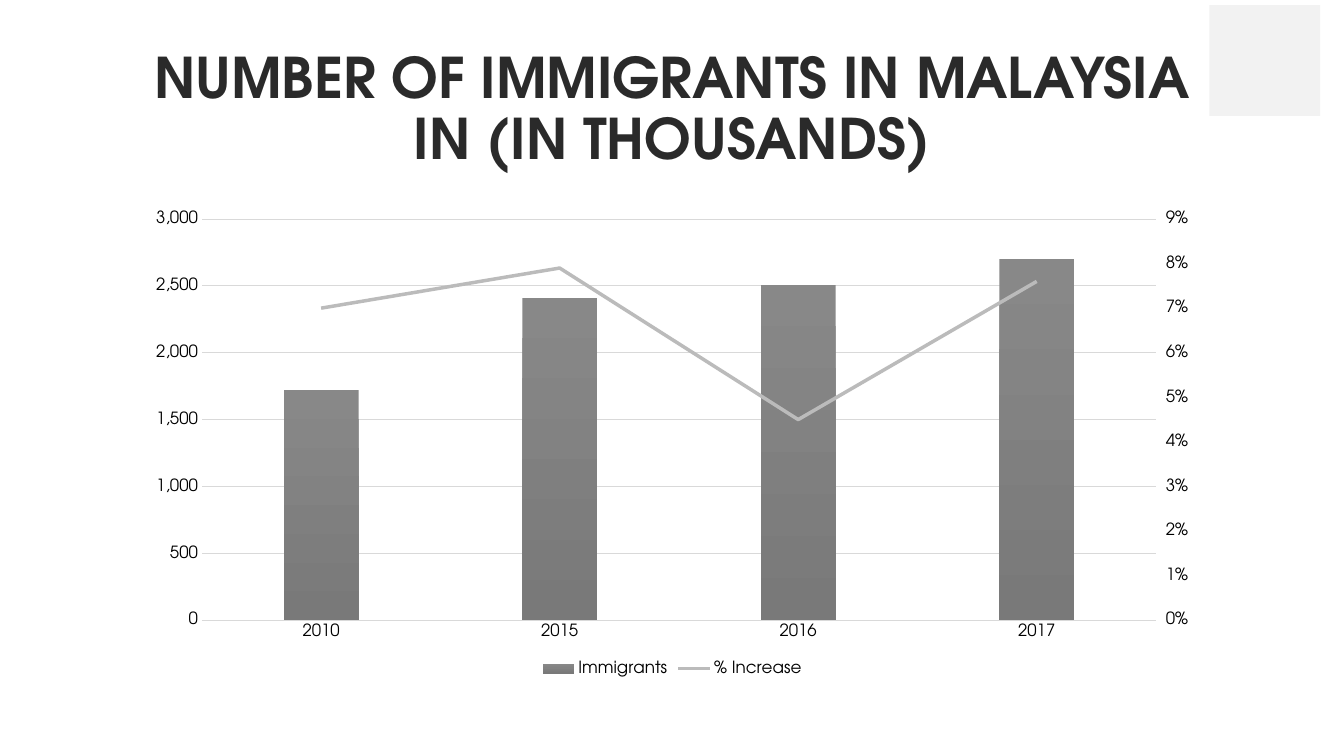
from copy import deepcopy

from pptx import Presentation
from pptx.chart.axis import ValueAxis
from pptx.chart.data import CategoryChartData
from pptx.dml.color import RGBColor
from pptx.enum.chart import XL_CHART_TYPE, XL_LEGEND_POSITION, XL_MARKER_STYLE, XL_TICK_MARK
from pptx.enum.shapes import MSO_SHAPE
from pptx.enum.text import MSO_ANCHOR, PP_ALIGN
from pptx.oxml import parse_xml
from pptx.oxml.ns import nsdecls, qn
from pptx.util import Cm, Pt

COLUMNS = XL_CHART_TYPE.COLUMN_CLUSTERED
LEGEND_BOTTOM = XL_LEGEND_POSITION.BOTTOM
NO_MARKER = XL_MARKER_STYLE.NONE
NO_TICK, TICK_OUT = XL_TICK_MARK.NONE, XL_TICK_MARK.OUTSIDE
RECTANGLE = MSO_SHAPE.RECTANGLE
BOTTOM, CENTER = MSO_ANCHOR.BOTTOM, PP_ALIGN.CENTER

INK = RGBColor(0x2A, 0x2A, 0x2A)
BLACK = RGBColor(0x00, 0x00, 0x00)
GRID = RGBColor(0xD9, 0xD9, 0xD9)
COLUMN_TOP = RGBColor(0x88, 0x88, 0x88)
COLUMN_BASE = RGBColor(0x79, 0x79, 0x79)
TREND = RGBColor(0xBB, 0xBB, 0xBB)
PALE = RGBColor(0xF2, 0xF2, 0xF2)

YEARS = ["2010", "2015", "2016", "2017"]
IMMIGRANTS = [1720, 2410, 2510, 2700]
INCREASE = [0.07, 0.079, 0.045, 0.076]
LINE_AXIS_IDS = {"c:catAx": "5001", "c:valAx": "5002"}


class SlideBuilder:
    font_name = "TeX Gyre Adventor"

    def __init__(self, page):
        self.page = page

    def style_font(self, font, size, color, bold=False):
        font.name = self.font_name
        font.size = Pt(size)
        font.bold = bold
        font.color.rgb = color

    def style_line(self, line, color, width):
        line.color.rgb = color
        line.width = Pt(width)

    def title(self, text, left, top, width, height):
        box = self.page.shapes.add_textbox(Cm(left), Cm(top), Cm(width), Cm(height))
        frame = box.text_frame
        frame.word_wrap = True
        frame.vertical_anchor = BOTTOM
        para = frame.paragraphs[0]
        para.alignment = CENTER
        para.line_spacing = 0.9
        span = para.add_run()
        span.text = text
        self.style_font(span.font, 40, INK, bold=True)

    def square(self, left, top, side, color):
        shape = self.page.shapes.add_shape(RECTANGLE, Cm(left), Cm(top), Cm(side), Cm(side))
        shape.shadow.inherit = False
        shape.fill.solid()
        shape.fill.fore_color.rgb = color
        shape.line.fill.background()

    def scale_axis(self, axis, maximum, step, number_format):
        axis.minimum_scale = 0
        axis.maximum_scale = maximum
        axis.major_unit = step
        axis.tick_labels.number_format = number_format
        axis.tick_labels.number_format_is_linked = False

    def style_axes(self, chart):
        for axis in (chart.category_axis, chart.value_axis):
            axis.visible = True
            self.style_font(axis.tick_labels.font, 12, BLACK)
            axis.major_tick_mark = NO_TICK
            axis.minor_tick_mark = NO_TICK
        self.style_line(chart.category_axis.format.line, GRID, 0.75)
        chart.value_axis.format.line.fill.background()
        self.style_line(chart.value_axis.major_gridlines.format.line, GRID, 0.75)
        self.scale_axis(chart.value_axis, 3000, 500, "#,##0")

    def move_last_series_to_line(self, chart):
        plot_area = chart.element.find(".//" + qn("c:plotArea"))
        columns = plot_area.find(qn("c:barChart"))
        series = columns.findall(qn("c:ser"))[-1]
        for bar_setting in series.findall(qn("c:invertIfNegative")):
            series.remove(bar_setting)
        line_plot = parse_xml(
            f'<c:lineChart {nsdecls("c")}><c:grouping val="standard"/><c:varyColors val="0"/>'
            '<c:marker val="1"/></c:lineChart>'
        )
        line_plot.insert(2, series)
        columns.addnext(line_plot)
        axes = {tag: deepcopy(plot_area.find(qn(tag))) for tag in LINE_AXIS_IDS}
        previous = plot_area.find(qn("c:valAx"))
        for tag, crossing in (("c:valAx", "c:catAx"), ("c:catAx", "c:valAx")):
            axes[tag].find(qn("c:axId")).set("val", LINE_AXIS_IDS[tag])
            axes[tag].find(qn("c:crossAx")).set("val", LINE_AXIS_IDS[crossing])
            previous.addnext(axes[tag])
            previous = axes[tag]
        for axis_id in LINE_AXIS_IDS.values():
            line_plot.append(parse_xml(f'<c:axId {nsdecls("c")} val="{axis_id}"/>'))
        axes["c:catAx"].find(qn("c:delete")).set("val", "1")
        axes["c:valAx"].find(qn("c:axPos")).set("val", "r")
        axes["c:valAx"].find(qn("c:crosses")).set("val", "max")
        right_axis = ValueAxis(axes["c:valAx"])
        right_axis.has_major_gridlines = False
        right_axis.major_tick_mark = TICK_OUT
        self.scale_axis(right_axis, 0.09, 0.01, "0%")

    def combined_chart(self, left, top, width, height):
        data = CategoryChartData()
        data.categories = YEARS
        data.add_series("Immigrants", IMMIGRANTS, "#,##0")
        data.add_series("% Increase", INCREASE, "0%")
        chart = self.page.shapes.add_chart(
            COLUMNS, Cm(left), Cm(top), Cm(width), Cm(height), data
        ).chart
        chart.has_title = False
        self.style_font(chart.font, 12, BLACK)
        chart.has_legend = True
        chart.legend.position = LEGEND_BOTTOM
        chart.legend.include_in_layout = False
        self.style_font(chart.legend.font, 12, BLACK)
        self.style_axes(chart)
        self.move_last_series_to_line(chart)

        column_plot, line_plot = chart.plots
        column_plot.vary_by_categories = False
        column_plot.gap_width = 219
        column_plot.overlap = -27
        immigrants = column_plot.series[0]
        immigrants.invert_if_negative = False
        fill = immigrants.format.fill
        fill.gradient()
        fill.gradient_angle = 270
        for stop, color in zip(fill.gradient_stops, (COLUMN_TOP, COLUMN_BASE)):
            stop.color.rgb = color
        trend = line_plot.series[0]
        trend.smooth = False
        trend.marker.style = NO_MARKER
        self.style_line(trend.format.line, TREND, 2.5)


def main():
    deck = Presentation()
    deck.slide_width, deck.slide_height = Cm(33.87), Cm(19.05)
    builder = SlideBuilder(deck.slides.add_slide(deck.slide_layouts[6]))
    left, width = 3.39, 27.1
    builder.title("NUMBER OF IMMIGRANTS IN MALAYSIA IN (IN THOUSANDS)", left, 0.76, width, 3.68)
    builder.combined_chart(left, 5.08, width, 12.07)
    builder.square(30.48, 0.13, 2.79, PALE)
    deck.save("out.pptx")


if __name__ == "__main__":
    main()
